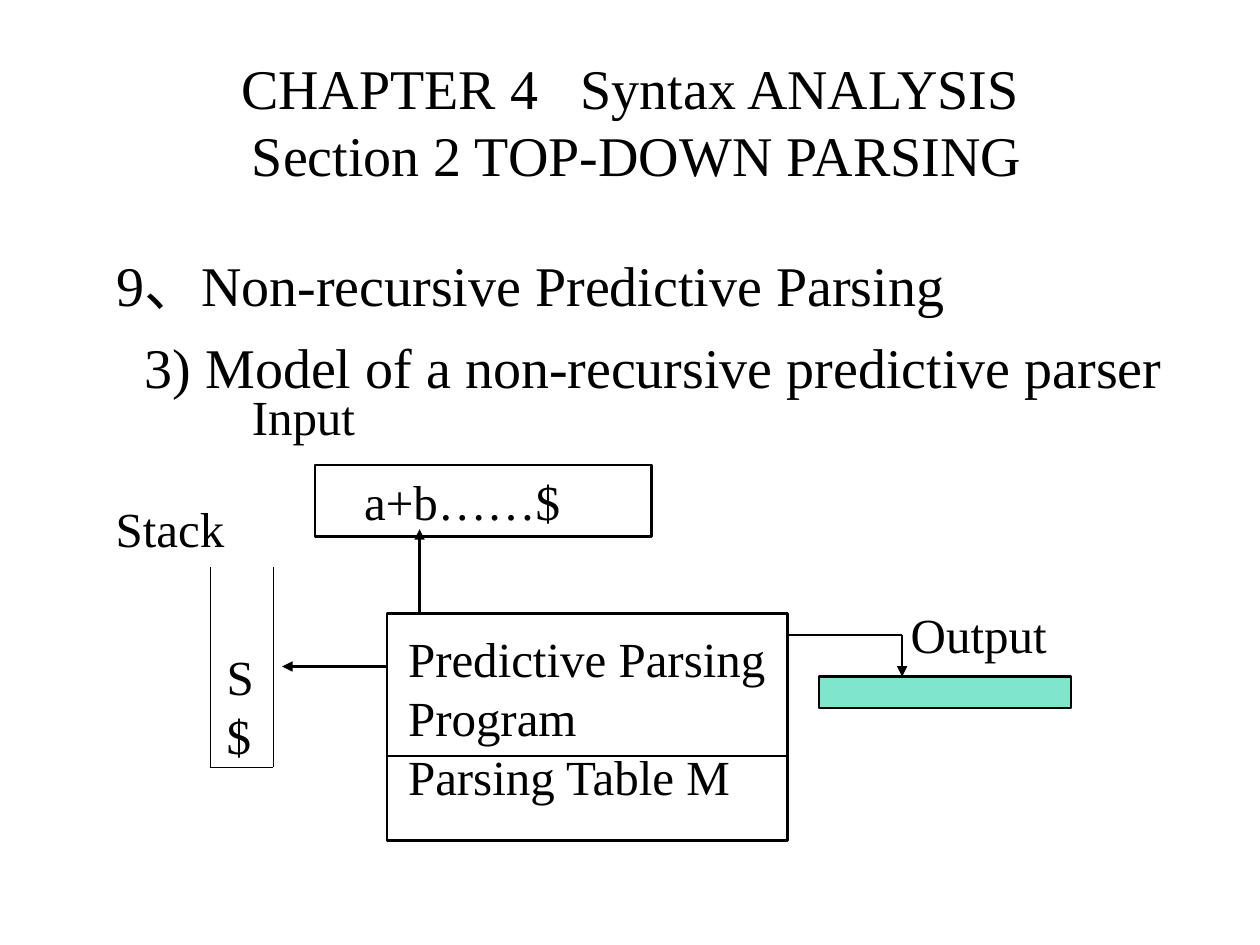
from lxml import etree
from pptx import Presentation
from pptx.dml.color import RGBColor
from pptx.enum.shapes import MSO_CONNECTOR, MSO_SHAPE
from pptx.enum.text import MSO_ANCHOR, PP_ALIGN
from pptx.oxml.ns import qn
from pptx.util import Inches, Pt

FONT = "Times New Roman"
INK = "000000"
MINT = "00CC99"

TITLE = ["CHAPTER 4 Syntax ANALYSIS", "Section 2 TOP-DOWN PARSING"]
TITLE_AT = (0.75, 0.17, 8.5, 1.58)
HEADINGS = ["9、Non-recursive Predictive Parsing",
            "3) Model of a non-recursive predictive parser"]
HEADINGS_AT = (0.33, 1.83, 9, 1.28)
HEADING_INDENTS = (0.5, 0.72)

# left, top, width, height
PARSER = (3.07, 4.87, 3.18, 1.8)
OUTPUT = (6.5, 5.37, 2, 0.25)
INPUT = (2.5, 3.69, 2.67, 0.57)
STACK = (1.67, 4.5, 0.5, 1.59)
INPUT_TAPE = "a+b……$"

# lines, position, wraps
LABELS = [
    (["Predictive Parsing Program", "Parsing Table M"], (3.14, 4.94, 3.11, 1.5), True),
    (["Output"], (7.13, 4.75, 1.37, 0.57), False),
    (["S", "$"], (1.7, 5.08, 0.41, 1.04), False),
    (["Input"], (1.9, 3.02, 1.11, 0.57), False),
    (["Stack"], (0.82, 3.91, 1.16, 0.57), False),
]

parser_left, parser_top, parser_width, _ = PARSER
parser_right = parser_left + parser_width
stack_left, stack_top, stack_width, stack_height = STACK
stack_right, stack_bottom = stack_left + stack_width, stack_top + stack_height
output_turn = (7.16, 5.04)

# start, end, width in points, arrowhead at the end
LINES = [
    ((3.33, parser_top), (3.33, 4.2), 1.5, True),
    ((parser_left, 5.29), (2.24, 5.29), 1.5, True),
    ((parser_right, output_turn[1]), output_turn, 1.5, False),
    (output_turn, (output_turn[0], OUTPUT[1]), 1.5, True),
    ((stack_left, stack_top), (stack_left, stack_bottom), 0.75, False),
    ((stack_right, stack_top), (stack_right, stack_bottom), 0.75, False),
    ((stack_left, stack_bottom), (stack_right, stack_bottom), 0.75, False),
    ((parser_left, 6), (parser_right, 6), 0.75, False),
]


def color(hex_string):
    return RGBColor.from_string(hex_string)


def write(frame, lines, size, wrap=True, align=PP_ALIGN.LEFT):
    frame.word_wrap = wrap
    frame.text = "\n".join(lines)
    for paragraph in frame.paragraphs:
        paragraph.alignment = align
        for run in paragraph.runs:
            run.font.size = Pt(size)
            run.font.name = FONT
            run.font.color.rgb = color(INK)


def indent(paragraph, inches):
    paragraph._p.get_or_add_pPr().set("marL", str(Inches(inches)))


def add_text(slide, lines, at, size, **options):
    frame = slide.shapes.add_textbox(*map(Inches, at)).text_frame
    write(frame, lines, size, **options)
    return frame


def add_box(slide, at, fill=None, opacity=100):
    box = slide.shapes.add_shape(MSO_SHAPE.RECTANGLE, *map(Inches, at))
    box.shadow.inherit = False
    box.line.color.rgb = color(INK)
    box.line.width = Pt(1.5)
    if fill:
        box.fill.solid()
        box.fill.fore_color.rgb = color(fill)
        fill_color = box._element.spPr.find(qn("a:solidFill"))[0]
        etree.SubElement(fill_color, qn("a:alpha")).set("val", str(opacity * 1000))
    else:
        box.fill.background()
    return box


def add_line(slide, start, end, width, arrow):
    line = slide.shapes.add_connector(MSO_CONNECTOR.STRAIGHT, *map(Inches, start + end))
    line.line.color.rgb = color(INK)
    line.line.width = Pt(width)
    if arrow:
        etree.SubElement(line.line._get_or_add_ln(), qn("a:tailEnd")).set("type", "triangle")
    etree.SubElement(line._element.spPr, qn("a:effectLst"))


def add_title(slide):
    frame = add_text(slide, TITLE, TITLE_AT, 32, align=PP_ALIGN.CENTER)
    frame.vertical_anchor = MSO_ANCHOR.MIDDLE
    chapter, section = frame.paragraphs
    indent(section, 0.11)
    # Widen the gap after the chapter number with character spacing.
    words = TITLE[0].split(" Syntax")
    chapter.runs[0].text = words[0]
    for text, spacing in ((" ", 1600), ("Syntax" + words[1], 0)):
        run = chapter.add_run()
        run.text = text
        run.font.size = Pt(32)
        run.font.name = FONT
        run.font.color.rgb = color(INK)
        run.font._element.set("spc", str(spacing))


def main():
    prs = Presentation()
    prs.slide_width, prs.slide_height = Inches(10), Inches(7.5)
    slide = prs.slides.add_slide(prs.slide_layouts[6])

    add_title(slide)
    headings = add_text(slide, HEADINGS, HEADINGS_AT, 32, wrap=False)
    # The first paragraph's offset goes into the box inset.
    headings.margin_top = Inches(0.05) + Pt(8)
    headings.paragraphs[1].space_before = Pt(8)
    for paragraph, inches in zip(headings.paragraphs, HEADING_INDENTS):
        indent(paragraph, inches)

    add_box(slide, PARSER)
    add_box(slide, OUTPUT, MINT, 50)
    tape = add_box(slide, INPUT).text_frame
    write(tape, [INPUT_TAPE], 28)
    tape.vertical_anchor = MSO_ANCHOR.TOP
    tape.margin_left = Inches(0.39)

    for line in LINES:
        add_line(slide, *line)
    for lines, at, wrap in LABELS:
        add_text(slide, lines, at, 28, wrap=wrap)

    prs.save("out.pptx")


if __name__ == "__main__":
    main()
